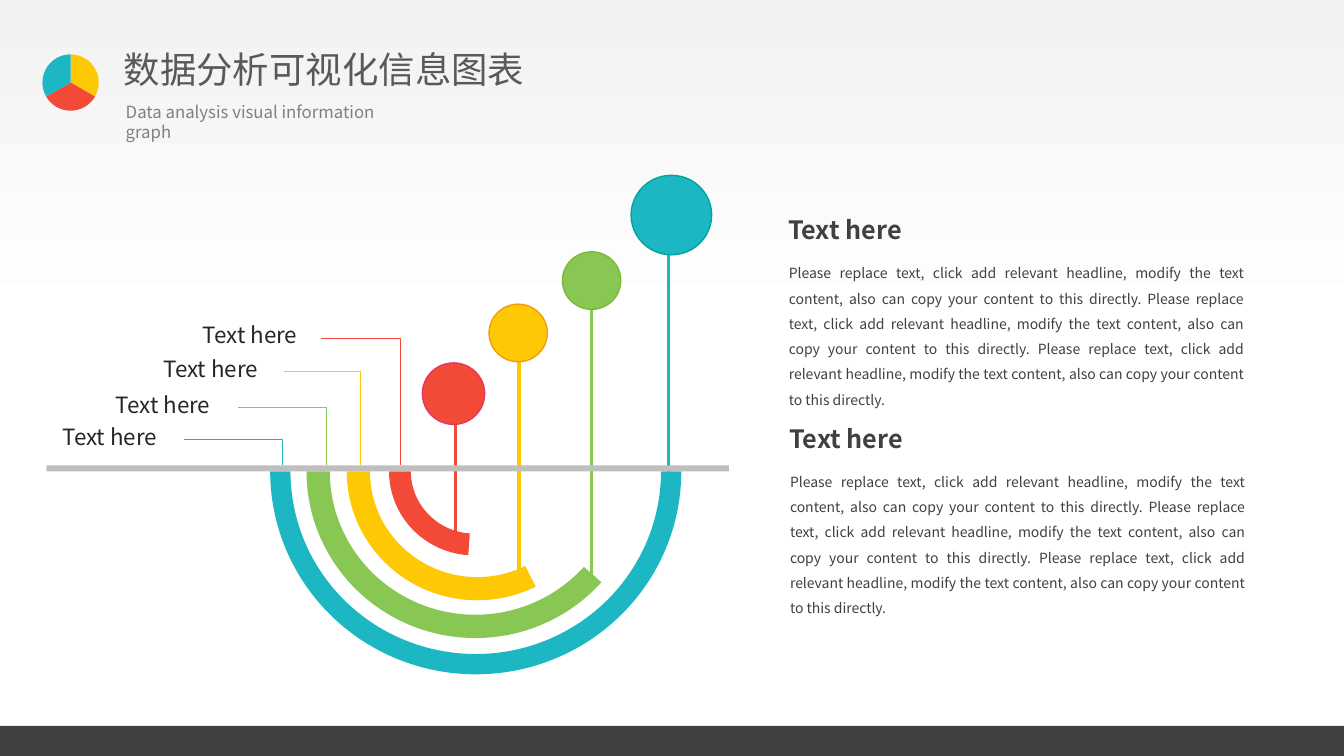
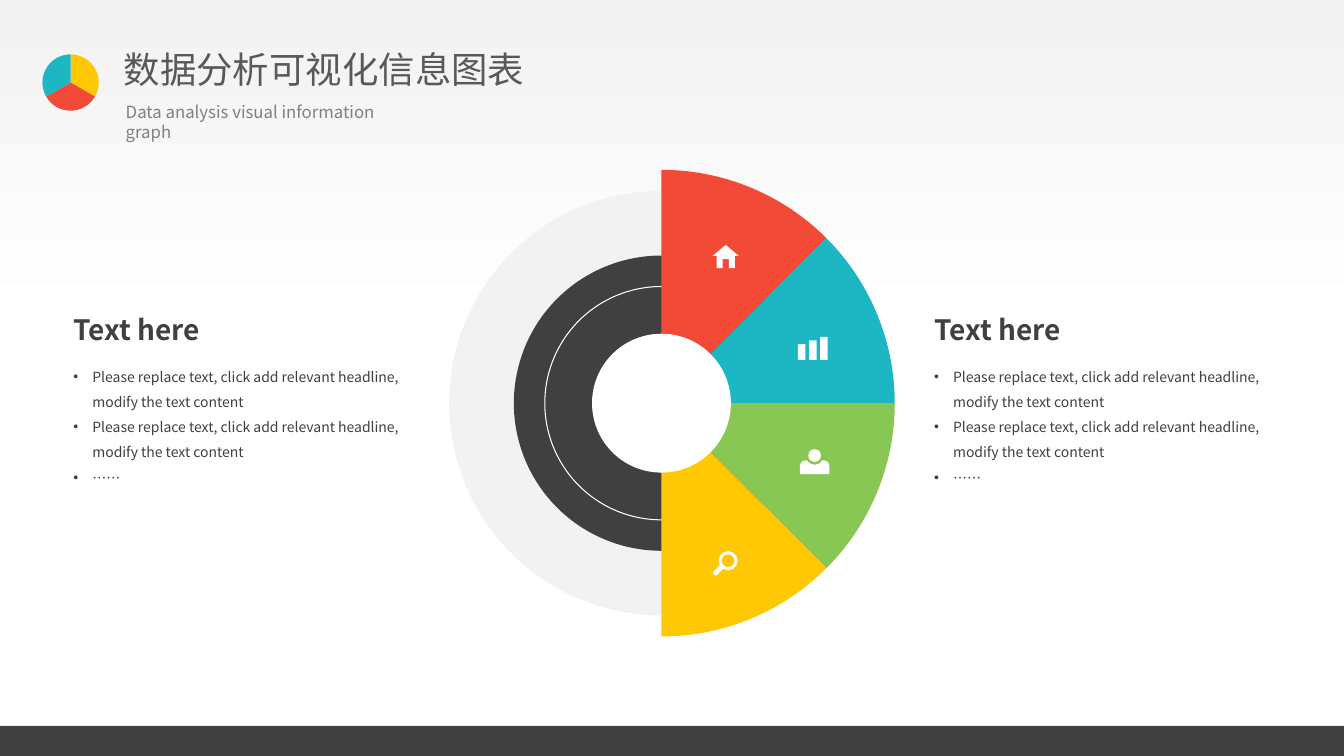
from typing import NamedTuple

from lxml import etree
from pptx import Presentation
from pptx.dml.color import RGBColor
from pptx.enum import shapes as sh, text as tx
from pptx.oxml.ns import qn
from pptx.util import Cm, Pt

# Shared look
RED = RGBColor(0xF2, 0x4A, 0x36)
TEAL = RGBColor(0x1D, 0xB7, 0xC4)
GREEN = RGBColor(0x88, 0xC7, 0x54)
YELLOW = RGBColor(0xFE, 0xC8, 0x05)
DARK = RGBColor(0x40, 0x40, 0x40)
INK = RGBColor(0x26, 0x26, 0x26)
TITLE = RGBColor(0x59, 0x59, 0x59)
GREY = RGBColor(0x80, 0x80, 0x80)
SILVER = RGBColor(0xBF, 0xBF, 0xBF)
PALE = RGBColor(0xF2, 0xF2, 0xF2)
WHITE = RGBColor(0xFF, 0xFF, 0xFF)
FONT = "Noto Sans CJK SC"
WIDTH, HEIGHT = 33.87, 19.05
SQUASH = 0.987  # height to width of the arcs and balls
Kind = sh.MSO_SHAPE
Align = tx.PP_ALIGN

HEAD = "Text here"
BODY = " ".join(["Please replace text, click add relevant headline, modify the "
                 "text content, also can copy your content to this directly."] * 3)
POINT = "Please replace text, click add relevant headline, modify the text content"
POINTS = [POINT, POINT, "……"]


class Series(NamedTuple):
    color: RGBColor
    rim: RGBColor
    arc_x: float
    arc_w: float
    start: float
    thick: float
    ball: tuple[float, float]
    size: float
    stem_x: float
    stem_end: float
    elbow: tuple[float, float]
    lead: float
    label: float


SERIES = [
    Series(TEAL, RGBColor(0x00, 0xA3, 0x9E), 11.99, 10.36, 0, 0.05, (16.92, 5.42),
           2.03, 16.85, 12.07, (7.11, 11.07), 4.65, 0.46),
    Series(GREEN, RGBColor(0x82, 0xB7, 0x32), 11.98, 8.51, 41.3, 0.07, (14.91, 7.07),
           1.47, 14.91, 14.61, (8.23, 10.26), 5.99, 1.8),
    Series(YELLOW, RGBColor(0xF3, 0x9C, 0x11), 12.03, 6.58, 63.1, 0.09, (13.06, 8.39),
           1.47, 13.08, 14.68, (9.09, 9.35), 7.16, 3),
    Series(RED, RGBColor(0xE2, 0x37, 0x61), 11.95, 4.29, 94, 0.13, (11.43, 9.92),
           1.57, 11.47, 13.69, (10.08, 8.51), 8.08, 3.99),
]


# Drawing helpers, all lengths in centimetres
def paint(shape, fill=None, line=None, width: float = 1):
    shape.shadow.inherit = False
    if fill is None:
        shape.fill.background()
    else:
        shape.fill.solid()
        shape.fill.fore_color.rgb = fill
    if line is None:
        shape.line.fill.background()
    else:
        shape.line.color.rgb = line
        shape.line.width = Pt(width)
    return shape


def draw(slide, kind, x: float, y: float, w: float, h: float,
         fill=None, line=None, width: float = 1):
    shape = slide.shapes.add_shape(kind, Cm(x), Cm(y), Cm(w), Cm(h))
    return paint(shape, fill, line, width)


def disc(slide, x: float, y: float, r: float, fill=None, line=None,
         width: float = 1, kind=Kind.OVAL, squash: float = 1):
    """Draw a round shape about its centre."""
    return draw(slide, kind, x - r, y - r * squash, 2 * r, 2 * r * squash,
                fill, line, width)


def turn(shape, start: float, end: float) -> None:
    """Set the start and end angles in degrees, clockwise from the right."""
    shape.adjustments[0] = start % 360 * 0.6
    shape.adjustments[1] = end % 360 * 0.6


def fan(slide, x: float, y: float, r: float, sweep: float,
        colors: list[RGBColor]) -> None:
    """Draw equal sectors clockwise from the top."""
    for i, color in enumerate(colors):
        start = i * sweep - 90
        turn(disc(slide, x, y, r, color, kind=Kind.PIE), start, start + sweep)


def trace(slide, dots: list[tuple[float, float]], close: bool):
    (x, y), *rest = [(Cm(a), Cm(b)) for a, b in dots]
    pen = slide.shapes.build_freeform(x, y)
    pen.add_line_segments(rest, close=close)
    return pen.convert_to_shape()


def stem(slide, x: float, top: float, end: float, color: RGBColor) -> None:
    line = slide.shapes.add_connector(sh.MSO_CONNECTOR.STRAIGHT,
                                      Cm(x), Cm(top), Cm(x), Cm(end))
    line.line.color.rgb = color
    line.line.width = Pt(2.25)
    props = line._element.spPr
    for tag in ("a:headEnd", "a:tailEnd"):
        etree.SubElement(props.find(qn("a:ln")), qn(tag), type="oval")
    etree.SubElement(props, qn("a:effectLst"))


def write(slide, x: float, y: float, w: float, h: float, lines: list[str],
          size: float, color: RGBColor, bold: bool = False, align=Align.LEFT,
          space: float = 1, bullet: bool = False, middle: bool = False) -> None:
    frame = slide.shapes.add_textbox(Cm(x), Cm(y), Cm(w), Cm(h)).text_frame
    frame.word_wrap = True
    if middle:
        frame.vertical_anchor = tx.MSO_ANCHOR.MIDDLE
    for i, words in enumerate(lines):
        para = frame.add_paragraph() if i else frame.paragraphs[0]
        para.text = words
        para.alignment = align
        para.line_spacing = space
        props = para._p.get_or_add_pPr()
        if bullet:
            props.set("marL", str(Cm(0.48)))
            props.set("indent", str(-Cm(0.48)))
            etree.SubElement(props, qn("a:buFont"), typeface="Arial")
            etree.SubElement(props, qn("a:buChar"), char="•")
        font = para.font
        font.name, font.size, font.bold = FONT, Pt(size), bold
        font.color.rgb = color
        etree.SubElement(props.find(qn("a:defRPr")), qn("a:ea"), typeface=FONT)


# Background, title and footer of every slide
def shade(master) -> None:
    fill = master.background.fill
    fill.gradient()
    fill.gradient_angle = 270
    for stop, color, place in zip(fill.gradient_stops, (PALE, WHITE), (0, 0.44)):
        stop.color.rgb = color
        stop.position = place


def page(deck):
    slide = deck.slides.add_slide(deck.slide_layouts[6])
    write(slide, 2.87, 1.07, 10.87, 1.37, ["数据分析可视化信息图表"], 26, TITLE)
    fan(slide, 1.78, 2.08, 0.71, 120, [YELLOW, RED, TEAL])
    write(slide, 2.92, 2.44, 7.85, 0.76,
          ["Data analysis visual information graph"], 12, GREY)
    draw(slide, Kind.RECTANGLE, 0, 18.29, WIDTH, 0.76, DARK)
    return slide


# Slide 1: arcs with stems and balls
def limb(slide, s: Series, base: float) -> None:
    bx, by = s.ball
    ex, ey = s.elbow
    stem(slide, s.stem_x, by, s.stem_end, s.color)
    paint(trace(slide, [(ex, base), (ex, ey), (s.lead, ey)], False),
          line=s.color, width=0.25)
    arc = disc(slide, s.arc_x, 11.88, s.arc_w / 2, s.color,
               kind=Kind.BLOCK_ARC, squash=SQUASH)
    turn(arc, s.start, 180)
    arc.adjustments[2] = s.thick
    disc(slide, bx, by, s.size / 2, s.color, s.rim, squash=SQUASH)
    write(slide, s.label, ey - 0.53, 4.62, 0.94, [HEAD], 16, INK,
          align=Align.CENTER)


def arcs(deck) -> None:
    slide = page(deck)
    base = 11.73
    for s in SERIES:
        limb(slide, s, base)
    draw(slide, Kind.RECTANGLE, 1.17, base, 17.2, 0.15, SILVER)
    for x, y in ((19.61, 5.18), (19.64, 10.43)):
        write(slide, x, y, 7.21, 1.22, [HEAD], 18, DARK, bold=True, middle=True)
        write(slide, x + 0.02, y + 1.16, 11.96, 3.4, [BODY], 10, DARK,
              align=Align.JUSTIFY, space=1.5)


# Slide 2: wheel with four sectors
def house(slide) -> None:
    x, eave, foot, door = 18.29, 6.45, 6.76, 6.53
    half = [(0.33, eave), (0.23, eave), (0.23, foot), (0.08, foot), (0.08, door)]
    right = [(x + dx, y) for dx, y in half]
    left = [(x - dx, y) for dx, y in reversed(half)]
    paint(trace(slide, [(x, 6.17), *right, *left], True), WHITE)


def bars(slide) -> None:
    for i, tall in enumerate((0.4, 0.49, 0.58)):
        draw(slide, Kind.RECTANGLE, 20.11 + i * 0.28, 9.07 - tall, 0.19, tall, WHITE)


def person(slide) -> None:
    x, y = 20.53, 11.48
    body = draw(slide, Kind.ROUND_2_SAME_RECTANGLE, x - 0.37, 11.6, 0.74, 0.35, WHITE)
    body.adjustments[0] = 0.4
    disc(slide, x, y, 0.23, GREEN)
    disc(slide, x, y, 0.16, WHITE)


def lens(slide) -> None:
    ring = disc(slide, 18.35, 14.13, 0.24, WHITE, kind=Kind.DONUT)
    ring.adjustments[0] = 0.16
    grip = draw(slide, Kind.ROUNDED_RECTANGLE, 17.94, 14.3, 0.34, 0.12, WHITE)
    grip.adjustments[0] = 0.5
    grip.rotation = 315


def wheel(deck) -> None:
    slide = page(deck)
    x, y = 16.67, 10.16
    disc(slide, x, y, 5.35, PALE)
    disc(slide, x, y, 3.72, DARK)
    disc(slide, x, y, 2.94, line=WHITE, width=0.75)
    fan(slide, x, y, 5.88, 45, [RED, TEAL, GREEN, YELLOW])
    disc(slide, x, y, 1.75, WHITE)
    for icon in (house, bars, person, lens):
        icon(slide)
    for left in (1.6, 23.29):
        write(slide, left, 7.7, 6.93, 1.22, [HEAD], 20, DARK, bold=True, middle=True)
        write(slide, left, 8.94, 9.58, 2.95, POINTS, 10, DARK, space=1.5, bullet=True)


def main() -> None:
    deck = Presentation()
    deck.slide_width, deck.slide_height = Cm(WIDTH), Cm(HEIGHT)
    shade(deck.slide_master)
    arcs(deck)
    wheel(deck)
    deck.save("out.pptx")


if __name__ == "__main__":
    main()
